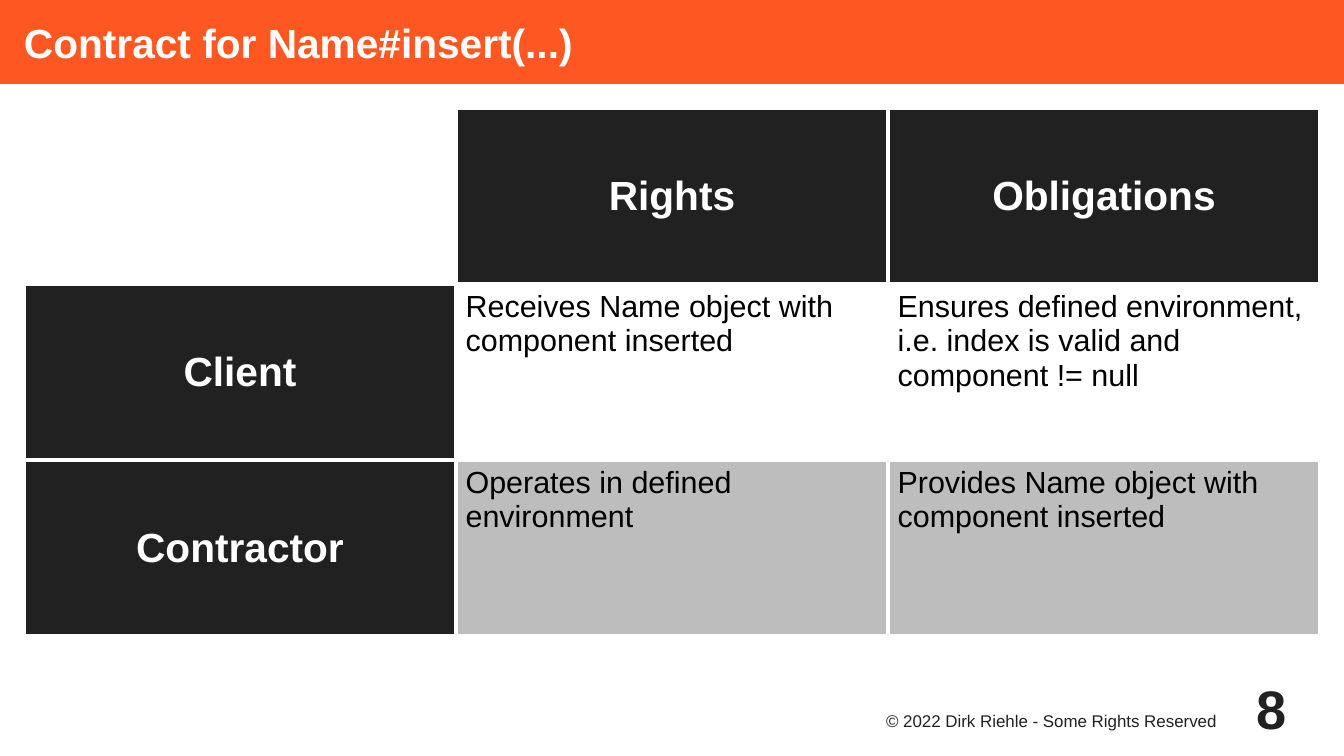
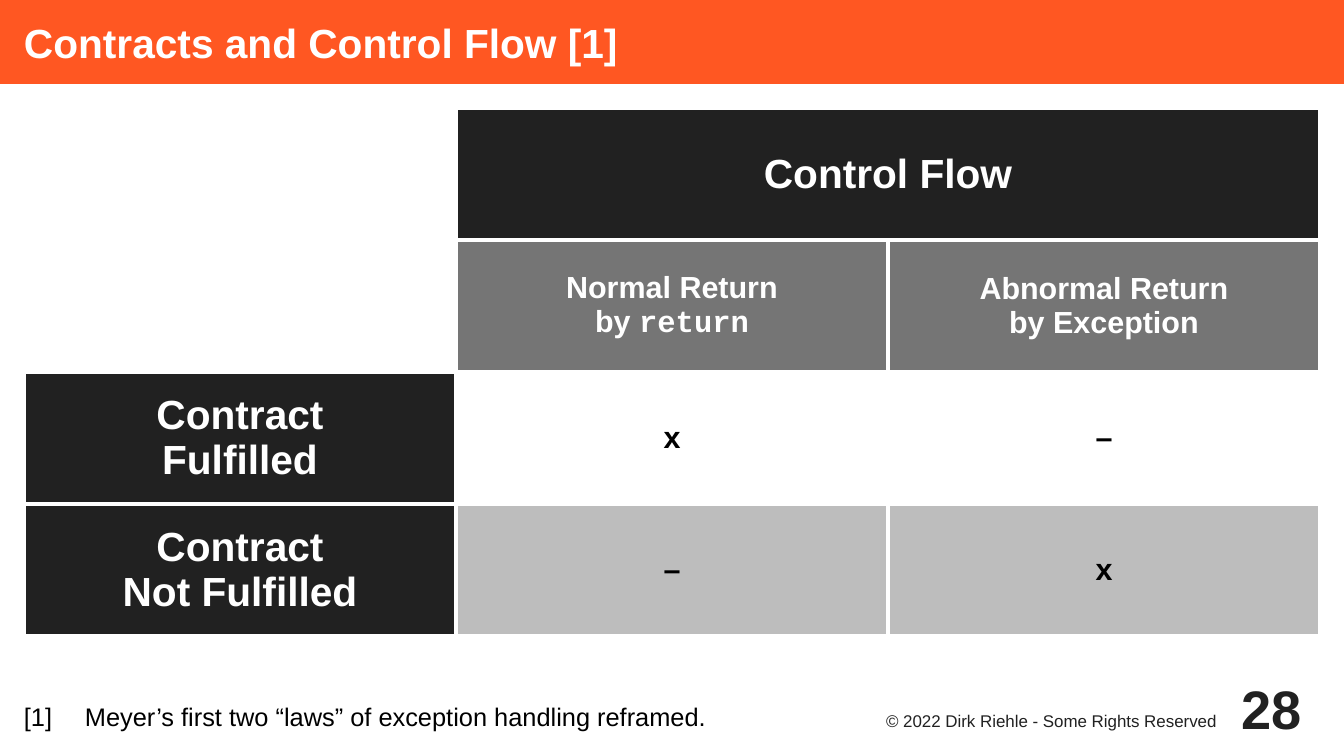
from dataclasses import dataclass

from lxml import etree
from pptx import Presentation
from pptx.dml.color import RGBColor
from pptx.enum.text import MSO_ANCHOR, MSO_AUTO_SIZE, PP_ALIGN
from pptx.oxml.ns import qn
from pptx.presentation import Presentation as Deck
from pptx.slide import Slide
from pptx.table import _Cell
from pptx.text.text import TextFrame
from pptx.util import Cm, Pt

LEFT, CENTER = PP_ALIGN.LEFT, PP_ALIGN.CENTER
TOP, MIDDLE, BOTTOM = MSO_ANCHOR.TOP, MSO_ANCHOR.MIDDLE, MSO_ANCHOR.BOTTOM
NO_FIT = MSO_AUTO_SIZE.NONE

ORANGE, DARK, MID, LIGHT = "FF5722", "212121", "757575", "BDBDBD"
WHITE, BLACK = "FFFFFF", "000000"
SANS, MONO = "Arial", "Courier New"

WIDTH, HEIGHT, BAND = 28, 15.75, 1.75
TABLE_LEFT, TABLE_TOP, TABLE_WIDTH, TABLE_HEIGHT = 0.5, 2.25, 27, 11
BORDER = Pt(2.27)
COPYRIGHT = "© 2022 Dirk Riehle - Some Rights Reserved"


@dataclass(frozen=True)
class Style:
    size: float
    color: str
    bold: bool = False
    align: PP_ALIGN = LEFT
    anchor: MSO_ANCHOR = TOP
    insets: tuple[float, float, float, float] = (0, 0, 0, 0)


@dataclass(frozen=True)
class CellStyle:
    text: Style
    fill: str


@dataclass(frozen=True)
class Entry:
    text: str
    style: CellStyle
    span: int = 1


@dataclass(frozen=True)
class Page:
    title: str
    number: int
    rows: list[list[Entry]]
    footnote: str = ""


PAD = (0.2, 0.13, 0.2, 0.13)
TITLE = Style(24, WHITE, True, LEFT, MIDDLE, (0.5, 0, 0, 0))
FOOTNOTE = Style(15, BLACK, anchor=BOTTOM, insets=(0.5, 0, 0, 0.5))
CREDIT = Style(10, DARK, align=CENTER, insets=(0, 0.05, 0.2, 0))
NUMBER = Style(32, DARK, True, CENTER, MIDDLE)
BODY = Style(18, BLACK, insets=PAD)
MARK = Style(18, BLACK, True, CENTER, MIDDLE, PAD)

HEAD = CellStyle(Style(24, WHITE, True, CENTER, MIDDLE, PAD), DARK)
SUBHEAD = CellStyle(Style(18, WHITE, True, CENTER, MIDDLE, PAD), MID)
PLAIN, SHADED = CellStyle(BODY, WHITE), CellStyle(BODY, LIGHT)
PLAIN_MARK, SHADED_MARK = CellStyle(MARK, WHITE), CellStyle(MARK, LIGHT)
BLANK = Entry("", PLAIN)

PAGES = [
    Page("Contract for Name#insert(...)", 8, [
        [BLANK, Entry("Rights", HEAD), Entry("Obligations", HEAD)],
        [Entry("Client", HEAD),
         Entry("Receives Name object with component inserted", PLAIN),
         Entry("Ensures defined environment, i.e. index is valid and\n"
               "component != null", PLAIN)],
        [Entry("Contractor", HEAD),
         Entry("Operates in defined environment", SHADED),
         Entry("Provides Name object with component inserted", SHADED)],
    ]),
    Page("Contracts and Control Flow [1]", 28, [
        [BLANK, Entry("Control Flow", HEAD, span=2)],
        [BLANK, Entry("Normal Return\nby `return`", SUBHEAD),
         Entry("Abnormal Return\nby Exception", SUBHEAD)],
        [Entry("Contract\nFulfilled", HEAD),
         Entry("x", PLAIN_MARK), Entry("–", PLAIN_MARK)],
        [Entry("Contract\nNot Fulfilled", HEAD),
         Entry("–", SHADED_MARK), Entry("x", SHADED_MARK)],
    ], "[1]\tMeyer’s first two “laws” of exception handling reframed."),
]


def rgb(value: str) -> RGBColor:
    return RGBColor.from_string(value)


def set_all(target: object, values: dict) -> None:
    for name, value in values.items():
        setattr(target, name, value)


def margins(style: Style) -> dict:
    names = ("margin_left", "margin_top", "margin_right", "margin_bottom")
    return {name: Cm(value) for name, value in zip(names, style.insets)}


def write(tf: TextFrame, text: str, style: Style) -> None:
    for i, line in enumerate(text.split("\n")):
        p = tf.add_paragraph() if i else tf.paragraphs[0]
        p.alignment = style.align
        for j, part in enumerate(line.split("`")):
            if not part:
                continue
            r = p.add_run()
            r.text = part
            set_all(r.font, {"name": MONO if j % 2 else SANS,
                             "size": Pt(style.size), "bold": style.bold})
            r.font.color.rgb = rgb(style.color)


def fill_frame(tf: TextFrame, text: str, style: Style) -> None:
    set_all(tf, {"word_wrap": True, "auto_size": NO_FIT,
                 "vertical_anchor": style.anchor, **margins(style)})
    write(tf, text, style)


def add_text(s: Slide, box: tuple[float, float, float, float],
             text: str, style: Style) -> None:
    sp = s.shapes.add_textbox(*map(Cm, box))
    fill_frame(sp.text_frame, text, style)


def add_title(s: Slide, text: str) -> None:
    sp = s.shapes.title
    set_all(sp, {"left": 0, "top": 0, "width": Cm(WIDTH), "height": Cm(BAND)})
    sp.fill.solid()
    sp.fill.fore_color.rgb = rgb(ORANGE)
    fill_frame(sp.text_frame, text, TITLE)


def add_borders(cell: _Cell) -> None:
    tc_pr = cell._tc.get_or_add_tcPr()
    for side in "LRTB":
        ln = etree.SubElement(tc_pr, qn(f"a:ln{side}"), w=str(BORDER))
        solid = etree.SubElement(ln, qn("a:solidFill"))
        etree.SubElement(solid, qn("a:srgbClr"), val=WHITE)


def format_cell(cell: _Cell, entry: Entry) -> None:
    style = entry.style
    add_borders(cell)
    cell.fill.solid()
    cell.fill.fore_color.rgb = rgb(style.fill)
    set_all(cell, {"vertical_anchor": style.text.anchor,
                   **margins(style.text)})
    write(cell.text_frame, entry.text, style.text)


def add_grid(s: Slide, rows: list[list[Entry]]) -> None:
    columns = sum(entry.span for entry in rows[0])
    box = (TABLE_LEFT, TABLE_TOP, TABLE_WIDTH, TABLE_HEIGHT)
    table = s.shapes.add_table(len(rows), columns, *map(Cm, box)).table
    set_all(table, {"first_row": False, "horz_banding": False})
    for column in table.columns:
        column.width = Cm(TABLE_WIDTH / columns)
    for i, entries in enumerate(rows):
        table.rows[i].height = Cm(TABLE_HEIGHT / len(rows))
        j = 0
        for entry in entries:
            cell = table.cell(i, j)
            j += entry.span
            if entry.span > 1:
                cell.merge(table.cell(i, j - 1))
            format_cell(cell, entry)


def add_page(prs: Deck, page: Page) -> None:
    s = prs.slides.add_slide(prs.slide_layouts[5])
    add_title(s, page.title)
    add_grid(s, page.rows)
    if page.footnote:
        add_text(s, (0, 11.75, 20, 4), page.footnote, FOOTNOTE)
    add_text(s, (18, 14.75, 8, 0.75), COPYRIGHT, CREDIT)
    add_text(s, (25.5, 14, 2, 1.5), str(page.number), NUMBER)


def main() -> None:
    prs = Presentation()
    set_all(prs, {"slide_width": Cm(WIDTH), "slide_height": Cm(HEIGHT)})
    for page in PAGES:
        add_page(prs, page)
    prs.save("out.pptx")


if __name__ == "__main__":
    main()
